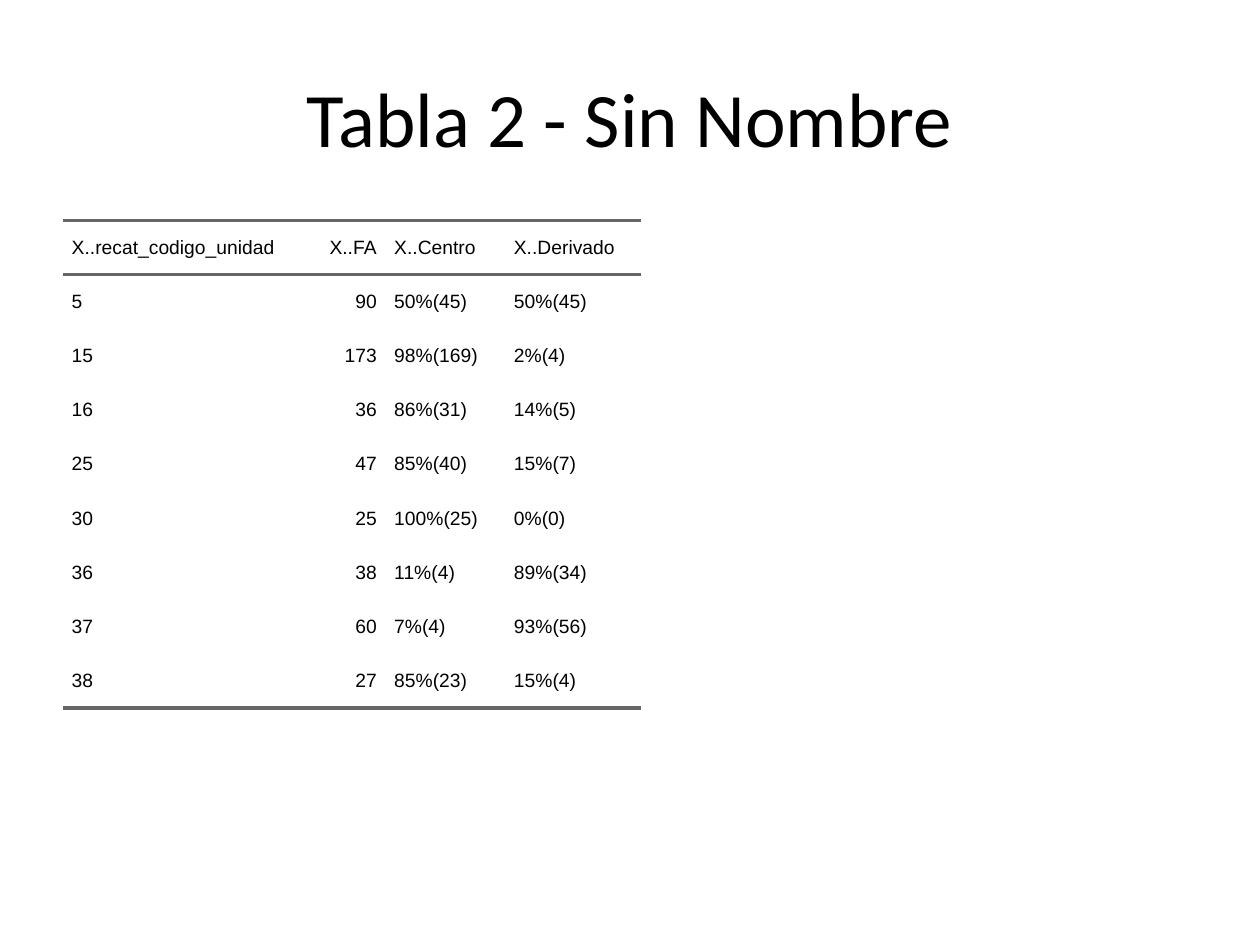
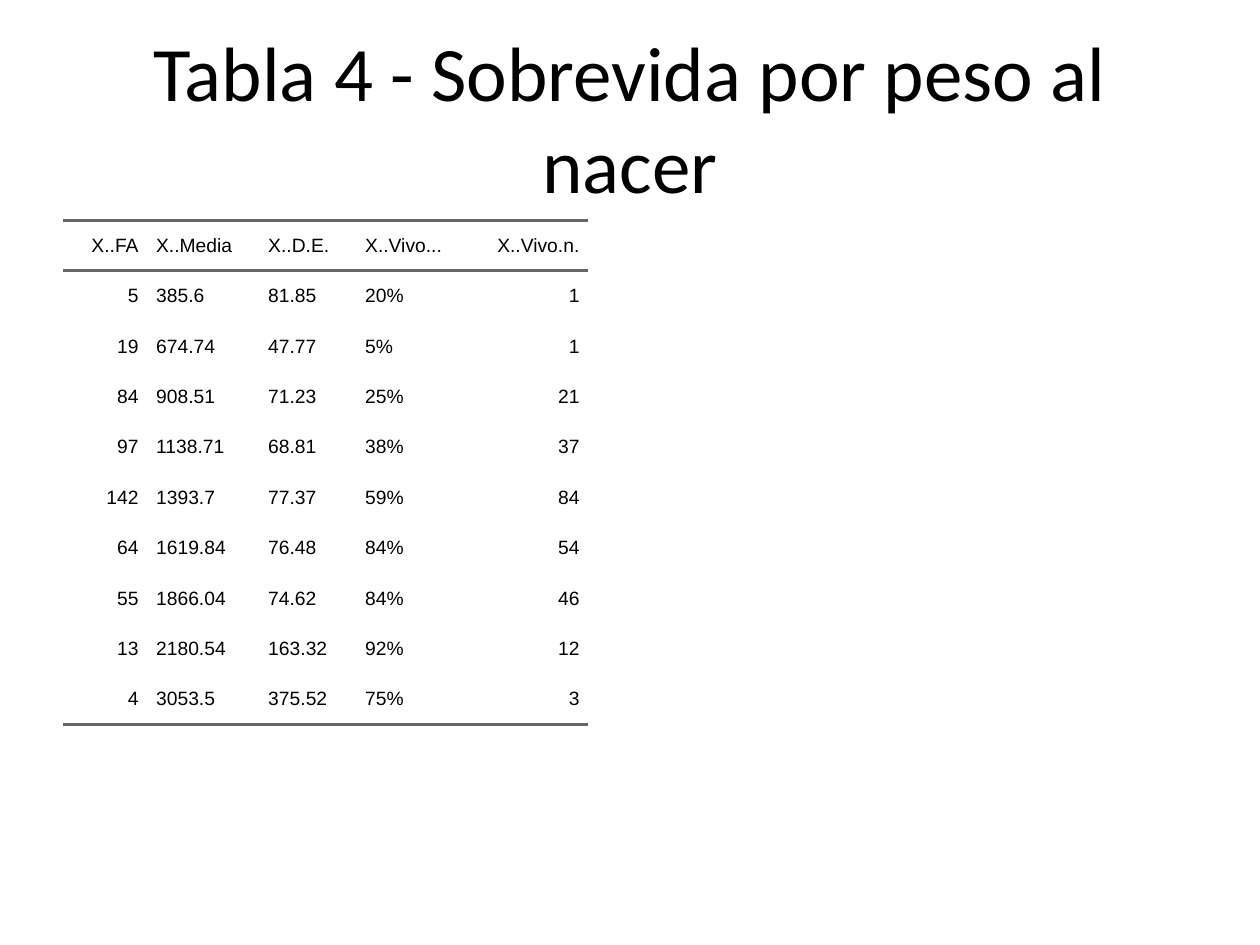
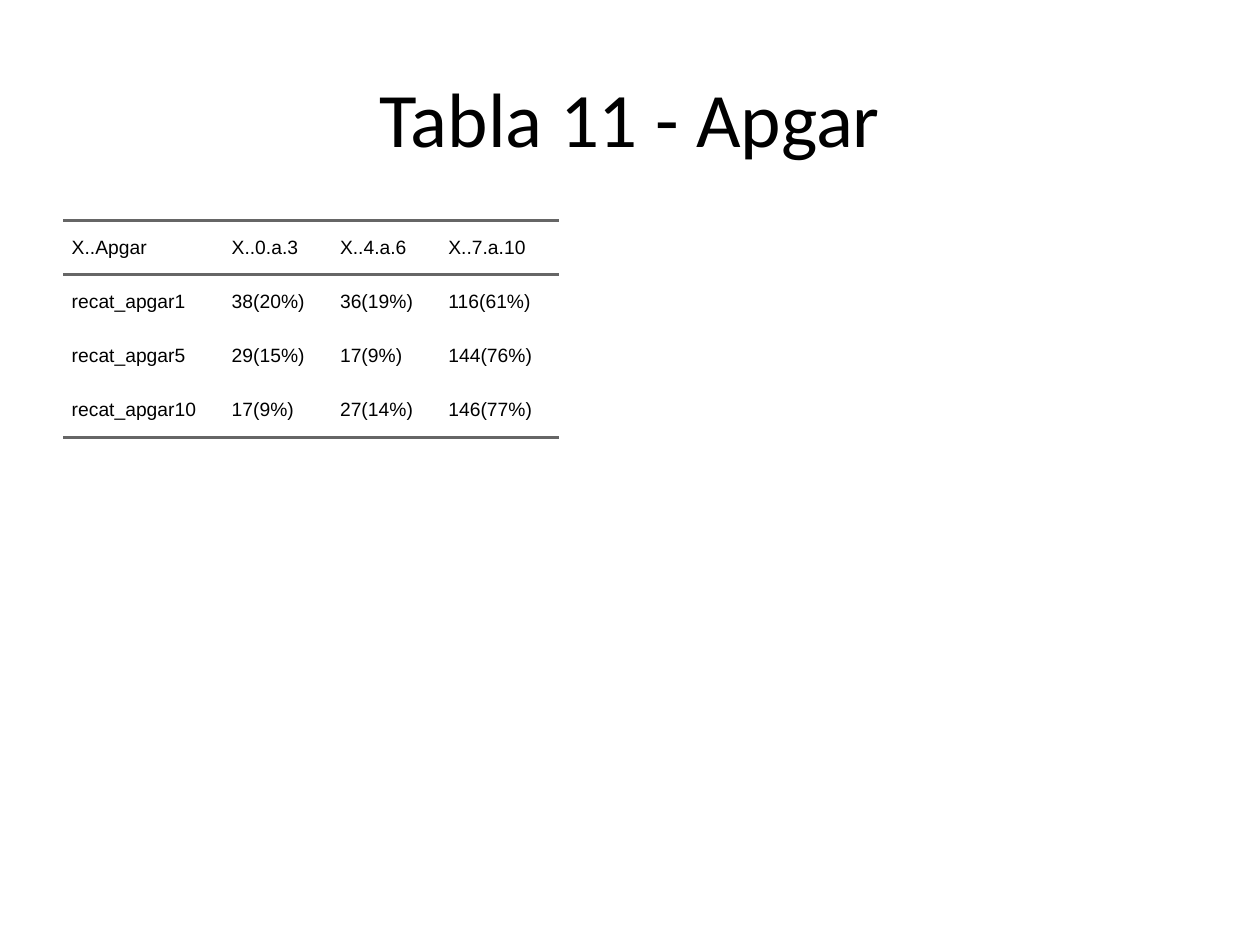
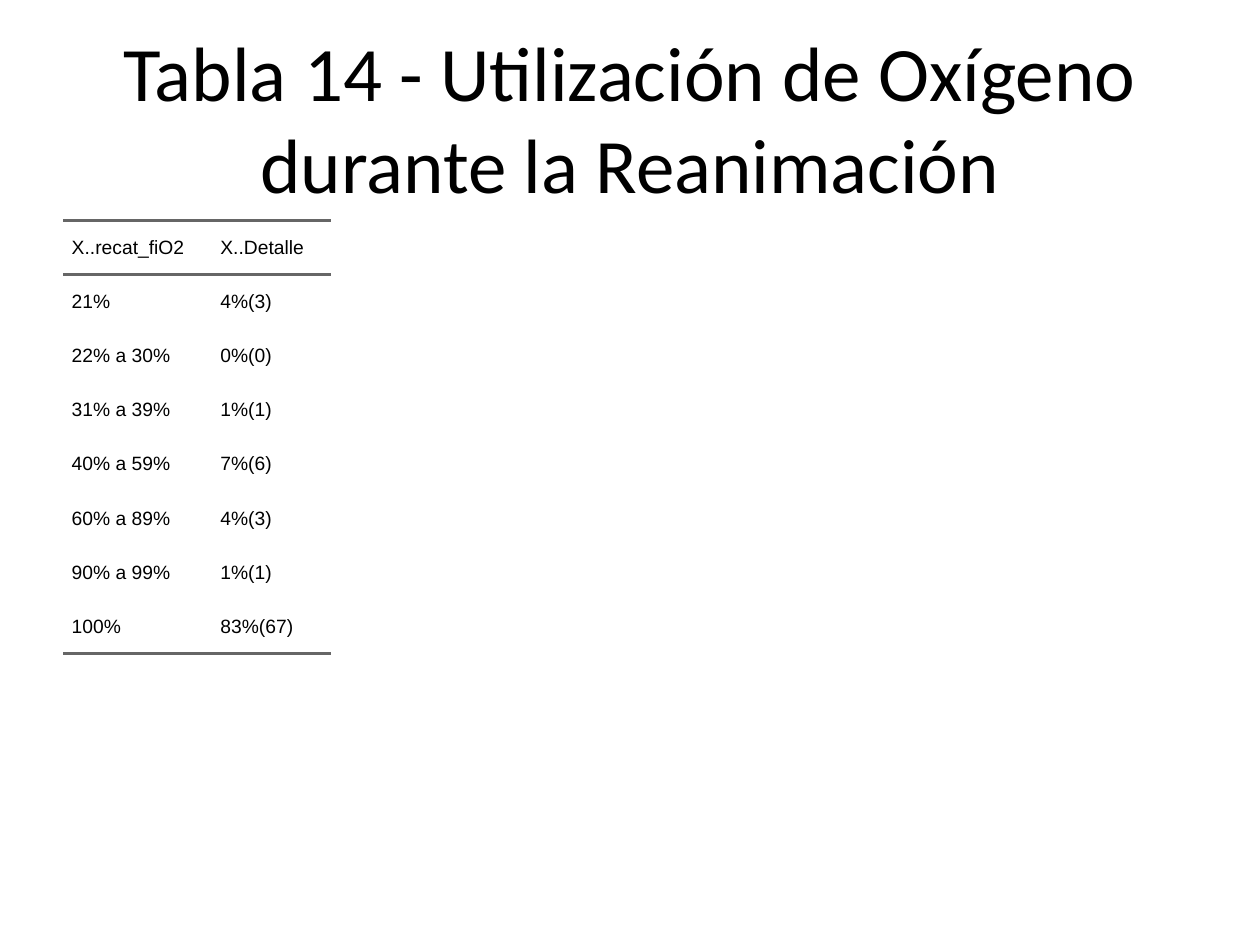
from lxml.etree import SubElement
from pptx import Presentation
from pptx.dml.color import RGBColor
from pptx.enum.text import MSO_ANCHOR as Anchor, PP_ALIGN as Align
from pptx.oxml.ns import qn
from pptx.util import Inches, Pt

COLOURS = {"text": "000000", "rule": "666666", "background": "FFFFFF"}
TITLE_FONT, TABLE_FONT = "Calibri", "Arial"
TITLE_ONLY_LAYOUT = 5
NO_STYLE = "{2D5ABB26-0587-4C30-8999-92F81FD0307C}"
CELL_INDENT = Pt(5)

# Each table: title, column widths, row height, right-aligned columns, rows
TABLES = [
    ("Tabla 2 - Sin Nombre", [1.89, 0.67, 0.95, 1.08], 0.43, {1}, [
        ("X..recat_codigo_unidad", "X..FA", "X..Centro", "X..Derivado"),
        ("5", "90", "50%(45)", "50%(45)"),
        ("15", "173", "98%(169)", "2%(4)"),
        ("16", "36", "86%(31)", "14%(5)"),
        ("25", "47", "85%(40)", "15%(7)"),
        ("30", "25", "100%(25)", "0%(0)"),
        ("36", "38", "11%(4)", "89%(34)"),
        ("37", "60", "7%(4)", "93%(56)"),
        ("38", "27", "85%(23)", "15%(4)"),
    ]),
    ("Tabla 4 - Sobrevida por peso al nacer",
     [0.67, 0.89, 0.77, 0.9, 0.94], 0.4, {0, 4}, [
         ("X..FA", "X..Media", "X..D.E.", "X..Vivo...", "X..Vivo.n."),
         ("5", "385.6", "81.85", "20%", "1"),
         ("19", "674.74", "47.77", "5%", "1"),
         ("84", "908.51", "71.23", "25%", "21"),
         ("97", "1138.71", "68.81", "38%", "37"),
         ("142", "1393.7", "77.37", "59%", "84"),
         ("64", "1619.84", "76.48", "84%", "54"),
         ("55", "1866.04", "74.62", "84%", "46"),
         ("13", "2180.54", "163.32", "92%", "12"),
         ("4", "3053.5", "375.52", "75%", "3"),
     ]),
    ("Tabla 11 - Apgar", [1.27, 0.86, 0.86, 0.95], 0.43, set(), [
        ("X..Apgar", "X..0.a.3", "X..4.a.6", "X..7.a.10"),
        ("recat_apgar1", "38(20%)", "36(19%)", "116(61%)"),
        ("recat_apgar5", "29(15%)", "17(9%)", "144(76%)"),
        ("recat_apgar10", "17(9%)", "27(14%)", "146(77%)"),
    ]),
    ("Tabla 14 - Utilización de Oxígeno durante la Reanimación",
     [1.18, 0.95], 0.43, set(), [
         ("X..recat_fiO2", "X..Detalle"),
         ("21%", "4%(3)"),
         ("22% a 30%", "0%(0)"),
         ("31% a 39%", "1%(1)"),
         ("40% a 59%", "7%(6)"),
         ("60% a 89%", "4%(3)"),
         ("90% a 99%", "1%(1)"),
         ("100%", "83%(67)"),
     ]),
]


def set_font(paragraph, name, size):
    paragraph.font.name = name
    paragraph.font.size = Pt(size)
    paragraph.font.color.rgb = RGBColor.from_string(COLOURS["text"])


def add_title(slide, text):
    title = slide.shapes.title
    title.left, title.top = Inches(0.5), Inches(0.3)
    title.width, title.height = Inches(9), Inches(1.25)
    title.text_frame.text = text
    title.text_frame.vertical_anchor = Anchor.MIDDLE
    paragraph = title.text_frame.paragraphs[0]
    paragraph.alignment = Align.CENTER
    set_font(paragraph, TITLE_FONT, 44)


def add_rule(cell, tag):
    """Draw one horizontal border: a:lnT for the top, a:lnB for the bottom."""
    line = SubElement(cell._tc.get_or_add_tcPr(), qn(tag), w=str(Pt(2)))
    fill = SubElement(line, qn("a:solidFill"))
    SubElement(fill, qn("a:srgbClr"), val=COLOURS["rule"])


def fill_cell(cell, text, alignment):
    cell.margin_left = cell.margin_right = 0
    cell.margin_top = cell.margin_bottom = 0
    cell.vertical_anchor = Anchor.MIDDLE
    cell.fill.background()
    cell.text = text
    paragraph = cell.text_frame.paragraphs[0]
    paragraph.alignment = alignment
    paragraph.space_before = paragraph.space_after = Pt(5)
    properties = paragraph._p.get_or_add_pPr()
    for side in ("marL", "marR"):
        properties.set(side, str(CELL_INDENT))
    set_font(paragraph, TABLE_FONT, 11)


def add_ruled_table(slide, widths, row_height, right_columns, rows):
    frame = slide.shapes.add_table(len(rows), len(widths), Inches(0.5),
                                   Inches(1.75), Inches(9), Inches(4.95))
    table = frame.table
    table.first_row = table.horz_banding = False
    table._tbl.tblPr.find(qn("a:tableStyleId")).text = NO_STYLE
    for column, width in zip(table.columns, widths):
        column.width = Inches(width)
    for row in table.rows:
        row.height = Inches(row_height)
    # The frame keeps the full content area, whatever the grid takes up
    frame.width, frame.height = Inches(9), Inches(4.95)

    for row_index, texts in enumerate(rows):
        for column_index, text in enumerate(texts):
            cell = table.cell(row_index, column_index)
            if row_index == 0:
                add_rule(cell, "a:lnT")
            if row_index in (0, len(rows) - 1):
                add_rule(cell, "a:lnB")
            right = column_index in right_columns
            fill_cell(cell, text, Align.RIGHT if right else Align.LEFT)


def main():
    presentation = Presentation()
    presentation.slide_width, presentation.slide_height = Inches(10), Inches(7.5)
    background = presentation.slide_master.background.fill
    background.solid()
    background.fore_color.rgb = RGBColor.from_string(COLOURS["background"])

    for title, widths, row_height, right_columns, rows in TABLES:
        layout = presentation.slide_layouts[TITLE_ONLY_LAYOUT]
        slide = presentation.slides.add_slide(layout)
        add_title(slide, title)
        add_ruled_table(slide, widths, row_height, right_columns, rows)
    presentation.save("out.pptx")


if __name__ == "__main__":
    main()
